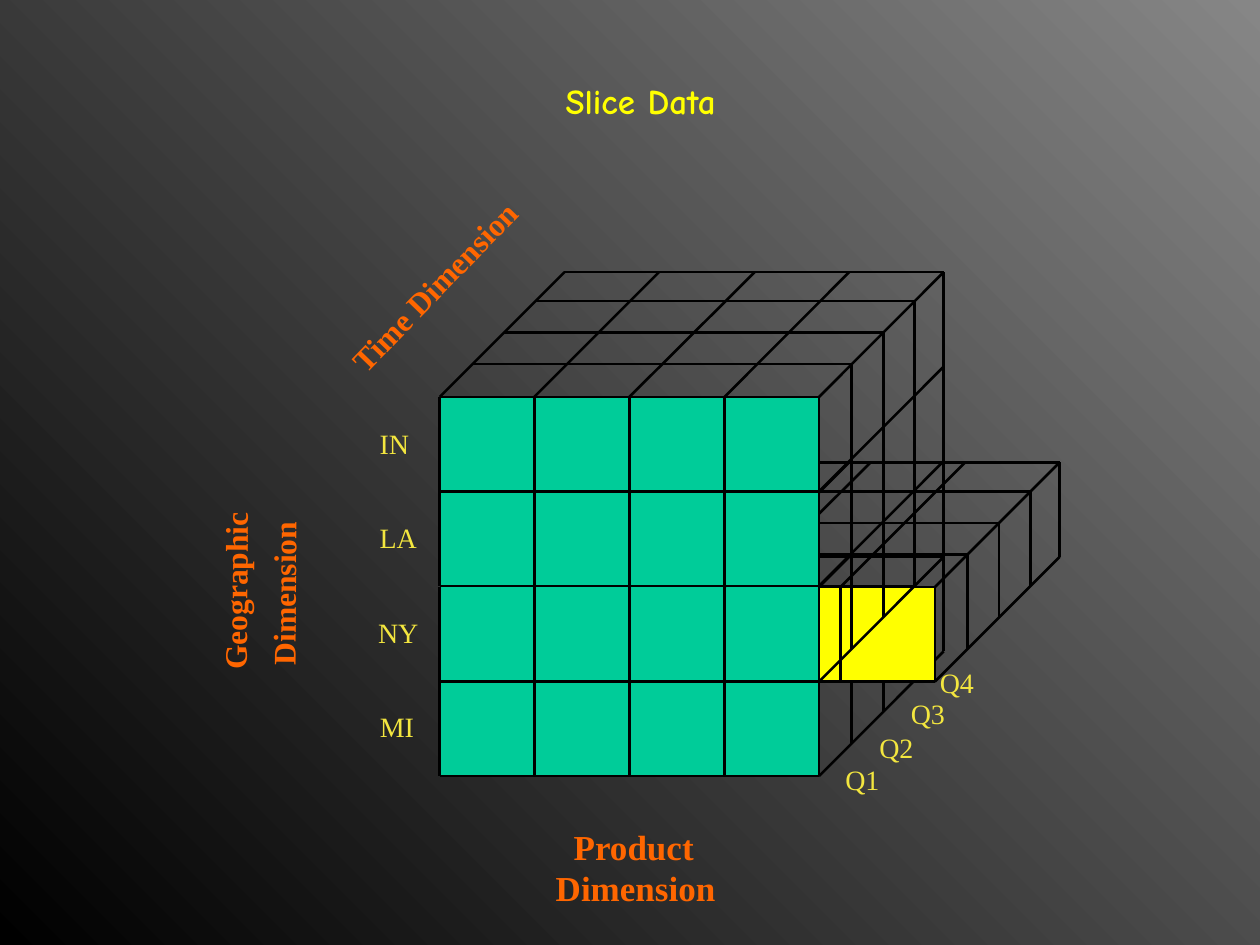
from dataclasses import dataclass

from lxml import etree
from pptx import Presentation
from pptx.dml.color import RGBColor
from pptx.enum.shapes import MSO_CONNECTOR, MSO_SHAPE
from pptx.enum.text import MSO_ANCHOR, MSO_AUTO_SIZE, PP_ALIGN
from pptx.oxml.ns import qn
from pptx.util import Inches, Pt

STRAIGHT = MSO_CONNECTOR.STRAIGHT
RECT = MSO_SHAPE.RECTANGLE
TOP, MIDDLE = MSO_ANCHOR.TOP, MSO_ANCHOR.MIDDLE
FIT, FIXED = MSO_AUTO_SIZE.SHAPE_TO_FIT_TEXT, MSO_AUTO_SIZE.NONE
CENTER = PP_ALIGN.CENTER


@dataclass(frozen=True)
class Theme:
    light: str = "868686"
    dark: str = "000000"
    edge: str = "000000"
    cube: str = "00CC99"
    slice: str = "FFFF00"
    title: str = "FFFF00"
    axis: str = "FF6600"
    label: str = "F3E63F"
    head: str = "Comic Neue"
    body: str = "Times New Roman"
    large: int = 20
    medium: int = 18
    small: int = 16
    stroke: float = 1.5


THEME = Theme()
COLS = 4
WIDE, HIGH = 3.01, 0.75
SHIFTS = (0.26, 0.51, 0.76, 0.99)
LEFT, CEIL, RIGHT = 3.49, 3.15, 6.4


def rgb(code):
    return RGBColor.from_string(code)


def place(shape, left, top, width, height):
    shape.left, shape.top = Inches(left), Inches(top)
    shape.width, shape.height = Inches(width), Inches(height)


def write(shape, words, *, size, color, font=THEME.body, bold=False,
          anchor=MIDDLE, fit=FIT):
    frame = shape.text_frame
    frame.word_wrap = False
    frame.auto_size = fit
    frame.vertical_anchor = anchor
    para = frame.paragraphs[0]
    para.text = words
    para.alignment = CENTER
    para.font.name = font
    para.font.size = Pt(size)
    para.font.bold = bold
    para.font.color.rgb = rgb(color)


def add_label(parent, words, box, turn=0, **style):
    shape = parent.shapes.add_textbox(*(Inches(n) for n in box))
    shape.rotation = turn
    write(shape, words, **style)


def add_edge(group, start, end, front, mids):
    line = group.shapes.add_connector(
        STRAIGHT, *(Inches(n) for n in (*start, *end)))
    line.line.color.rgb = rgb(THEME.edge)
    line.line.width = Pt(THEME.stroke)
    etree.SubElement(line._element.spPr, qn("a:effectLst"))
    for point, join in ((start, line.begin_connect), (end, line.end_connect)):
        if point in mids:
            join(front, mids.index(point))


def add_slab(slide, left, top, rows, color, lid=True, cover=0):
    group = slide.shapes.add_group_shape()
    front = group.shapes.add_shape(
        RECT, *(Inches(n) for n in (left, top, WIDE, rows * HIGH)))
    front.shadow.inherit = False
    front.fill.solid()
    front.fill.fore_color.rgb = rgb(color)
    front.line.fill.background()

    def spot(col, row, shift=0):
        return (round(left + WIDE * col / COLS + shift, 2),
                round(top + HIGH * row - shift, 2))

    def covered(point):
        return LEFT <= point[0] <= RIGHT and CEIL <= point[1] <= cover

    mids = [spot(COLS / 2, 0), spot(0, rows / 2),
            spot(COLS / 2, rows), spot(COLS, rows / 2)]
    deep = SHIFTS[-1]
    lines = range(0 if lid else 1, rows + 1)
    edges = [(spot(col, 0), spot(col, rows)) for col in range(COLS + 1)]
    edges += [(spot(0, row), spot(COLS, row)) for row in lines]
    edges += [(spot(col, 0), spot(col, 0, deep)) for col in range(COLS)]
    edges += [(spot(COLS, row), spot(COLS, row, deep)) for row in lines]
    for shift in SHIFTS:
        edges.append((spot(0, 0, shift), spot(COLS, 0, shift)))
        edges.append((spot(COLS, 0, shift), spot(COLS, rows, shift)))
    for start, end in edges:
        if not (covered(start) and covered(end)):
            add_edge(group, start, end, front, mids)


def add_set(slide, items, **style):
    group = slide.shapes.add_group_shape()
    for words, box in items:
        add_label(group, words, box, **style)


def paint_back(slide):
    fill = slide.background.fill
    fill.gradient()
    fill.gradient_angle = 225
    for stop, color, spot in zip(
            fill.gradient_stops, (THEME.light, THEME.dark), (0, 1)):
        stop.color.rgb = rgb(color)
        stop.position = spot


def main():
    deck = Presentation()
    deck.slide_width, deck.slide_height = Inches(10), Inches(7.5)
    slide = deck.slides.add_slide(deck.slide_layouts[5])
    paint_back(slide)

    title = slide.shapes.title
    place(title, 3.17, 0.58, 3.83, 0.58)
    write(title, "Slice Data", size=THEME.large, color=THEME.title,
          font=THEME.head, bold=True, anchor=TOP, fit=FIXED)

    add_slab(slide, LEFT, 5.41, 1, THEME.cube, lid=False, cover=5.41)
    add_slab(slide, 4.41, 4.66, 1, THEME.slice, cover=5.41)
    add_slab(slide, LEFT, 4.66, 1, THEME.cube, lid=False, cover=4.66)
    add_slab(slide, LEFT, CEIL, 2, THEME.cube)

    axis = dict(color=THEME.axis, bold=True)
    add_set(slide, [("Product", (4.45, 6.5, 1.16, 0.44)),
                    ("Dimension", (4.31, 6.82, 1.47, 0.44))],
            size=THEME.large, **axis)
    add_set(slide, [("Geographic", (1.14, 4.49, 1.45, 0.4)),
                    ("Dimension", (1.58, 4.51, 1.34, 0.4))],
            turn=270.4, size=THEME.medium, **axis)
    add_label(slide, "Time Dimension", (2.47, 2.07, 1.95, 0.4),
              turn=314.1, size=THEME.medium, **axis)

    small = dict(size=THEME.small, color=THEME.label)
    times = (("Q1", 6.61, 6), ("Q2", 6.88, 5.75),
             ("Q3", 7.13, 5.48), ("Q4", 7.36, 5.23))
    add_set(slide, [(name, (left, top, 0.47, 0.37))
                    for name, left, top in times], **small)
    states = (("IN", 2.87), ("LA", 2.9), ("NY", 2.9), ("MI", 2.89))
    add_set(slide, [(name, (left, 3.33 + HIGH * n, 0.52, 0.37))
                    for n, (name, left) in enumerate(states)], **small)

    deck.save("out.pptx")


if __name__ == "__main__":
    main()
